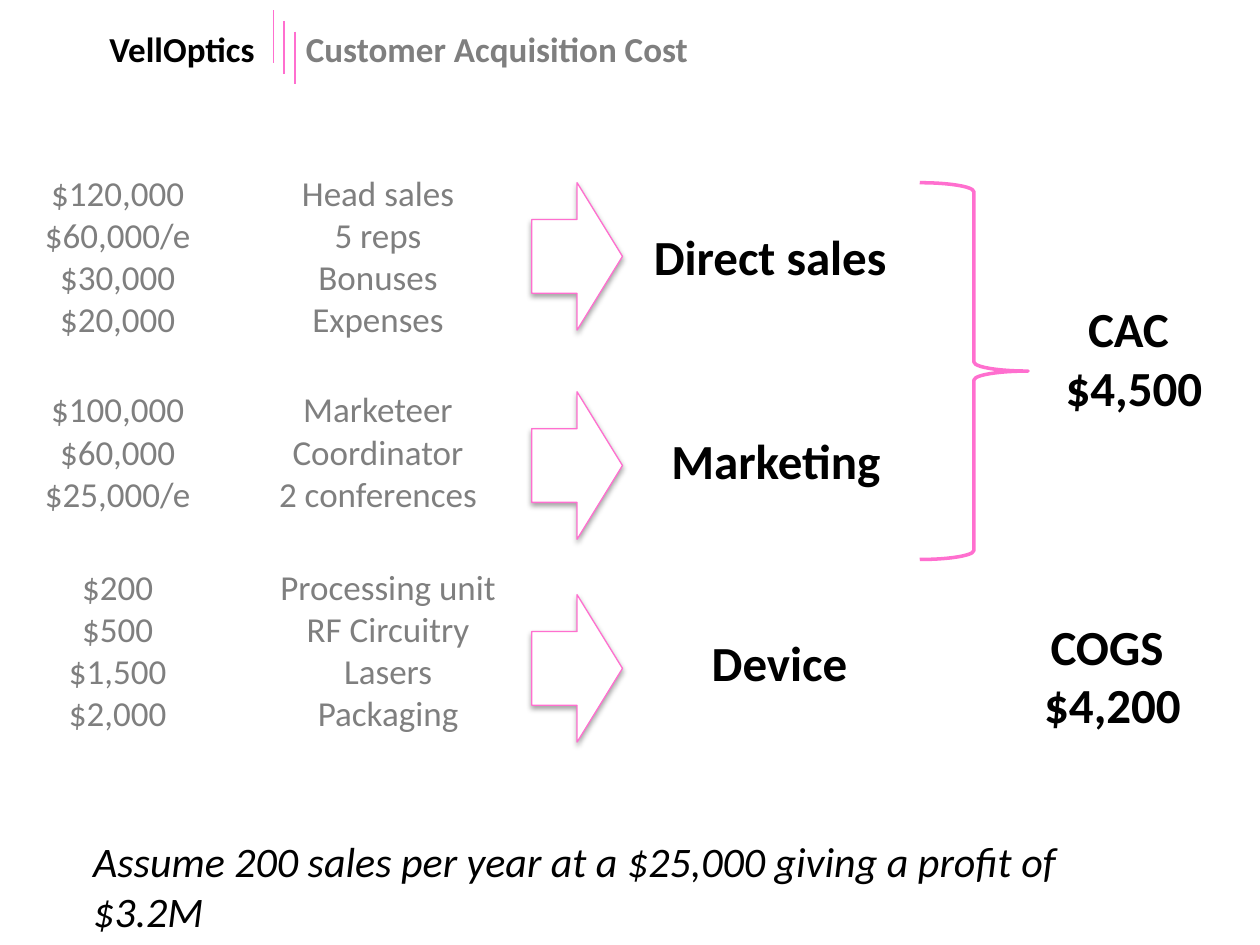
from lxml import etree
from pptx import Presentation
from pptx.dml.color import RGBColor
from pptx.enum.shapes import MSO_CONNECTOR, MSO_SHAPE
from pptx.enum.text import PP_ALIGN
from pptx.oxml.ns import qn
from pptx.util import Inches, Pt

LEFT, CENTER, RIGHT = PP_ALIGN.LEFT, PP_ALIGN.CENTER, PP_ALIGN.RIGHT
STRAIGHT = MSO_CONNECTOR.STRAIGHT
RIGHT_ARROW, RIGHT_BRACE = MSO_SHAPE.RIGHT_ARROW, MSO_SHAPE.RIGHT_BRACE

# Theme
BLACK, GRAY, WHITE, PINK = (RGBColor.from_string(value) for value in
                            ("000000", "7F7F7F", "FFFFFF", "FF6FCF"))
THEME = {
    "brand": {"name": "Calibri", "size": Pt(20), "bold": True, "color": BLACK},
    "title": {"name": "Calibri", "size": Pt(20), "bold": True, "color": GRAY},
    "item": {"name": "Calibri", "size": Pt(20), "color": GRAY},
    "heading": {"name": "Calibri", "size": Pt(28), "bold": True, "color": BLACK},
    "note": {"name": "Calibri", "size": Pt(24), "italic": True, "color": BLACK},
}

# Content
BRAND = "VellOptics"
TITLE = "Customer Acquisition Cost"
NOTE = "Assume 200 sales per year at a $25,000 giving a profit of $3.2M"
GROUPS = [
    {"heading": "Direct sales", "heading_box": (5.09, 1.75, 2.21, 0.57),
     "top": 1.31, "arrow_top": 1.45, "item_width": 1.82,
     "costs": [("$120,000", "Head sales"), ("$60,000/e", "5 reps"),
               ("$30,000", "Bonuses"), ("$20,000", "Expenses")]},
    {"heading": "Marketing", "heading_box": (5.23, 3.37, 2.02, 0.57),
     "top": 3.03, "arrow_top": 3.11, "item_width": 1.82,
     "costs": [("$100,000", "Marketeer"), ("$60,000", "Coordinator"),
               ("$25,000/e", "2 conferences")]},
    {"heading": "Device", "heading_box": (5.55, 4.97, 1.38, 0.57),
     "top": 4.44, "arrow_top": 4.72, "item_width": 1.98,
     "costs": [("$200", "Processing unit"), ("$500", "RF Circuitry"),
               ("$1,500", "Lasers"), ("$2,000", "Packaging")]},
]
TOTALS = [(("CAC ", "$4,500"), (8, 2.32, 2, 1.04)),
          (("COGS ", "$4,200"), (7.83, 4.84, 2, 1.04))]

# Layout
AMOUNT_LEFT, AMOUNT_WIDTH, ITEM_LEFT = 0.25, 1.37, 2.09
ARROW_LEFT, ARROW_WIDTH, ARROW_HEIGHT = 4.22, 0.72, 1.17
LINE_HEIGHT, BOX_PADDING = 0.34, 0.1
STRIPE_LEFT, STRIPE_TOP, STRIPE_STEP, STRIPE_HEIGHT = 2.17, 0.08, 0.085, 0.42


def add_text(slide, lines, box, style, alignment=LEFT, wrap=True):
    frame = slide.shapes.add_textbox(*map(Inches, box)).text_frame
    frame.word_wrap = wrap
    for index, line in enumerate(lines):
        paragraph = frame.paragraphs[0] if index == 0 else frame.add_paragraph()
        paragraph.alignment = alignment
        run = paragraph.add_run()
        run.text = line
        for attribute, value in THEME[style].items():
            if attribute == "color":
                run.font.color.rgb = value
            else:
                setattr(run.font, attribute, value)


def add_outline_shape(slide, kind, box, line_width):
    shape = slide.shapes.add_shape(kind, *map(Inches, box))
    shape.shadow.inherit = False
    shape.fill.background()
    shape.line.color.rgb = PINK
    shape.line.width = Pt(line_width)
    return shape


def add_arrow(slide, top):
    box = (ARROW_LEFT, top, ARROW_WIDTH, ARROW_HEIGHT)
    arrow = add_outline_shape(slide, RIGHT_ARROW, box, 0.75)
    arrow.fill.solid()
    arrow.fill.fore_color.rgb = WHITE
    # Soft shadow straight below
    effects = arrow._element.spPr.find(qn("a:effectLst"))
    shadow = etree.SubElement(effects, qn("a:outerShdw"), blurRad=str(Pt(3.1)),
                              dist=str(Pt(1.8)), dir="5400000", rotWithShape="0")
    color = etree.SubElement(shadow, qn("a:srgbClr"), val=str(BLACK))
    etree.SubElement(color, qn("a:alpha"), val="35000")


def add_stripe(slide, index):
    left = STRIPE_LEFT + index * STRIPE_STEP
    top = STRIPE_TOP + index * STRIPE_STEP
    stripe = slide.shapes.add_connector(
        STRAIGHT, *map(Inches, (left, top, left, top + STRIPE_HEIGHT)))
    stripe.line.color.rgb = PINK
    stripe.line.width = Pt(1)
    etree.SubElement(stripe._element.spPr, qn("a:effectLst"))


def main():
    presentation = Presentation()
    presentation.slide_width, presentation.slide_height = Inches(10), Inches(7.5)
    slide = presentation.slides.add_slide(presentation.slide_layouts[6])

    # Header
    add_text(slide, [BRAND], (0.25, 0.17, 1.87, 0.44), "brand", RIGHT, wrap=False)
    add_text(slide, [TITLE], (2.33, 0.17, 3.5, 0.44), "title")
    for index in range(3):
        add_stripe(slide, index)

    # Cost groups
    for group in GROUPS:
        amounts, items = zip(*group["costs"])
        height = len(items) * LINE_HEIGHT + BOX_PADDING
        columns = [(amounts, AMOUNT_LEFT, AMOUNT_WIDTH),
                   (items, ITEM_LEFT, group["item_width"])]
        for lines, left, width in columns:
            add_text(slide, lines, (left, group["top"], width, height), "item", CENTER)
        add_arrow(slide, group["arrow_top"])
        add_text(slide, [group["heading"]], group["heading_box"], "heading")

    # Totals and closing note
    add_outline_shape(slide, RIGHT_BRACE, (7.3, 1.45, 0.86, 2.99), 2)
    for lines, box in TOTALS:
        add_text(slide, lines, box, "heading", CENTER)
    add_text(slide, [NOTE], (0.64, 6.58, 8.52, 0.51), "note")

    presentation.save("out.pptx")


if __name__ == "__main__":
    main()
